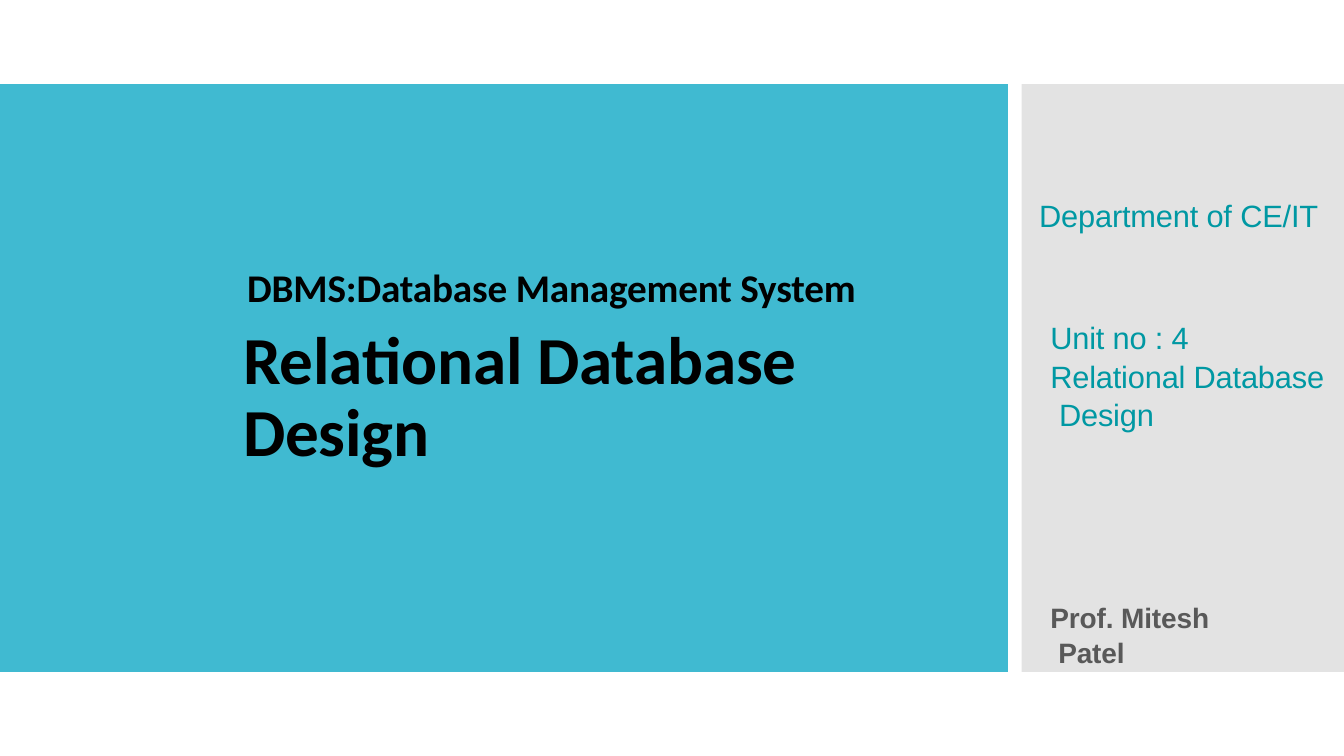
from typing import NamedTuple

from lxml.etree import SubElement
from pptx import Presentation
from pptx.dml.color import RGBColor as Rgb
from pptx.enum.shapes import MSO_SHAPE as Shape
from pptx.oxml.ns import qn
from pptx.util import Cm, Pt

TEAL, GREY, BLACK = "0098A3", "595959", "000000"


class Panel(NamedTuple):
    left: float
    width: float
    fill: str
    alpha: int = 100


class Line(NamedTuple):
    text: str
    size: float
    color: str
    indent: float = 0.03
    before: float = 1
    pitch: float = 0
    bold: bool = False
    font: str = "Arial"
    track: int = -10


class Box(NamedTuple):
    left: float
    top: float
    width: float
    height: float
    lines: list[Line]
    inset: float = 0.06


# Coloured panels share one top and height
PANELS = [
    Panel(0, 25.4, "40BAD1"),
    Panel(25.75, 8.12, "C8C8C8", 50),
]

# Text boxes, lengths in centimetres
BOXES = [
    Box(26.16, 4.9, 7.19, 0.99, [Line("Department of CE/IT", 22, TEAL)]),
    Box(26.44, 15.06, 4.09, 1.75, [
        Line("Prof. Mitesh", 20, GREY, bold=True),
        Line("Patel", 20, GREY, indent=0.23, bold=True),
    ]),
    Box(26.44, 7.98, 7.06, 2.87, [
        Line("Unit no : 4", 22, TEAL),
        Line("Relational Database", 22, TEAL),
        Line("Design", 22, TEAL, indent=0.25),
    ]),
    Box(6.1, 6.38, 16.48, 5.36, [
        Line("DBMS:Database Management System", 28, BLACK, indent=0.13,
             bold=True, font="Calibri"),
        Line("Relational Database Design", 48, BLACK, before=10.8, pitch=51.8,
             bold=True, font="Calibri", track=-15),
    ], inset=0.25),
]


def color(code: str) -> Rgb:
    return Rgb.from_string(code)


def draw_panel(slide, panel: Panel) -> None:
    rect = slide.shapes.add_shape(Shape.RECTANGLE, Cm(panel.left), Cm(2.12),
                                  Cm(panel.width), Cm(14.81))
    rect.shadow.inherit = False
    rect.line.fill.background()
    rect.fill.solid()
    rect.fill.fore_color.rgb = color(panel.fill)
    if panel.alpha < 100:
        tint = rect.fill._xPr.find(f".//{qn('a:srgbClr')}")
        SubElement(tint, qn("a:alpha"), val=str(panel.alpha * 1000))


def draw_box(slide, box: Box) -> None:
    frame = slide.shapes.add_textbox(Cm(box.left), Cm(box.top), Cm(box.width),
                                     Cm(box.height)).text_frame
    frame.word_wrap = True
    frame.margin_left = frame.margin_right = frame.margin_bottom = 0
    frame.margin_top = Cm(box.inset)
    frame.text = "\n".join(line.text for line in box.lines)
    for row, (para, line) in enumerate(zip(frame.paragraphs, box.lines)):
        para._p.get_or_add_pPr().set("marL", str(Cm(line.indent)))
        if row:
            para.space_before = Pt(line.before)
        if line.pitch:
            para.line_spacing = Pt(line.pitch)
        for run in para.runs:
            run.font.name = line.font
            run.font.size = Pt(line.size)
            run.font.bold = line.bold
            run.font.color.rgb = color(line.color)
            run._r.get_or_add_rPr().set("spc", str(line.track))


def main() -> None:
    deck = Presentation()
    deck.slide_width, deck.slide_height = Cm(33.87), Cm(19.05)
    slide = deck.slides.add_slide(deck.slide_layouts[6])
    for panel in PANELS:
        draw_panel(slide, panel)
    for box in BOXES:
        draw_box(slide, box)
    deck.save("out.pptx")


if __name__ == "__main__":
    main()
